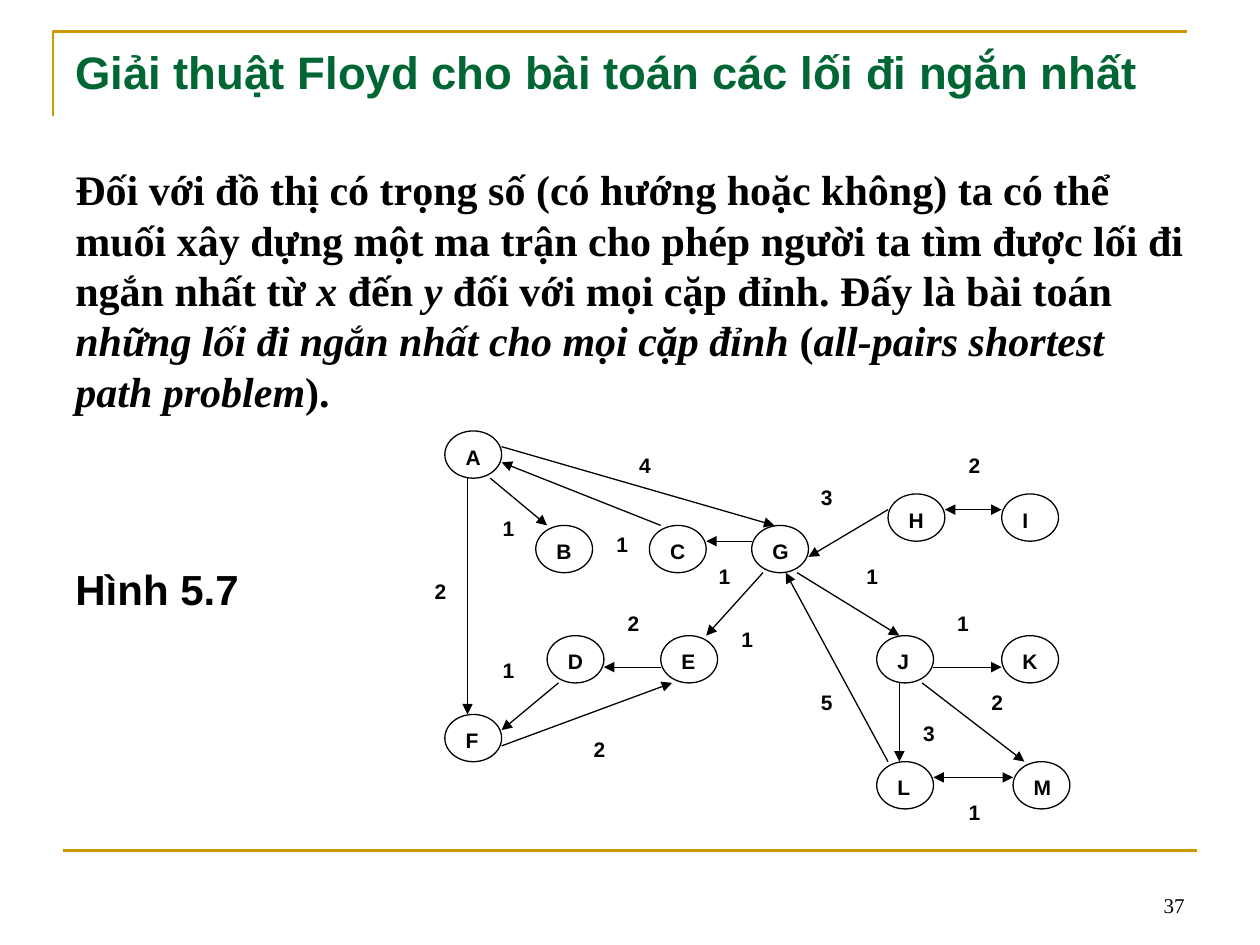
from pptx import Presentation, util as u
from pptx.dml.color import RGBColor
from pptx.enum import shapes, text
from pptx.oxml.ns import qn
from lxml import etree

prs = Presentation()
prs.slide_width, prs.slide_height = u.Inches(10), u.Inches(7.5)
s = prs.slides.add_slide(prs.slide_layouts[6])

# Graph grid: 52 columns from x = 3.35 to 8.04, rows of 1/8 inch
LEFT, TOP, COL, ROW = 3.35, 3.42, 4.69 / 52, 0.125
GOLD, BLACK, WHITE = "CC9900", "000000", "FFFFFF"


def add_text(runs, x, y, w, h, shape=None, size=12, font="Arial", color=BLACK, bold=True,
             fill=None, line=None, align="LEFT", anchor="TOP", before=0):
    """Add text, given as a string or as (string, italic) pairs; lengths in inches."""
    box = [u.Inches(v) for v in (x, y, w, h)]
    sp = s.shapes.add_shape(shape, *box) if shape else s.shapes.add_textbox(*box)
    if shape:
        sp.shadow.inherit = False
    if fill:
        sp.fill.solid()
        sp.fill.fore_color.rgb = RGBColor.from_string(fill)
    if line:
        sp.line.color.rgb = RGBColor.from_string(line)
        sp.line.width = u.Pt(0.75)
    else:
        sp.line.fill.background()
    tf = sp.text_frame
    tf.word_wrap = True
    tf.vertical_anchor = text.MSO_ANCHOR[anchor]
    p = tf.paragraphs[0]
    p.alignment = text.PP_ALIGN[align]
    p.space_before = u.Pt(before)
    for words, italic in ([(runs, False)] if isinstance(runs, str) else runs):
        r = p.add_run()
        r.text = words
        r.font.name, r.font.size = font, u.Pt(size)
        r.font.bold, r.font.italic = bold, italic
        r.font.color.rgb = RGBColor.from_string(color)


def add_line(x1, y1, x2, y2, color=BLACK, width=0.75, ends=()):
    """Add a straight line in inches, with arrowheads at the named ends."""
    ln = s.shapes.add_connector(shapes.MSO_CONNECTOR.STRAIGHT,
                                *[u.Inches(v) for v in (x1, y1, x2, y2)])
    ln.line.color.rgb = RGBColor.from_string(color)
    ln.line.width = u.Pt(width)
    for end in ends:
        etree.SubElement(ln.line._get_or_add_ln(), qn(f"a:{end}"), type="triangle")
    etree.SubElement(ln._element.spPr, qn("a:effectLst"))


# Frame: corner above the title, rule above the footer
fb = s.shapes.build_freeform(u.Inches(0.42), u.Inches(0.92))
fb.add_line_segments([(u.Inches(0.42), u.Inches(0.25)), (u.Inches(9.42), u.Inches(0.25))],
                     close=False)
corner = fb.convert_to_shape()
corner.shadow.inherit = False
corner.fill.background()
corner.line.color.rgb = RGBColor.from_string(GOLD)
corner.line.width = u.Pt(1.5)
add_line(0.5, 6.75, 9.5, 6.75, color=GOLD, width=1.5)

# Title and paragraph
add_text("Giải thuật Floyd cho bài toán các lối đi ngắn nhất", 0.5, 0.3, 9, 0.43,
         size=26, color="006633")
add_text([("Đối với đồ thị có trọng số (có hướng hoặc không) ta có thể muối xây dựng một "
           "ma trận cho phép người ta tìm được lối đi ngắn nhất từ ", False),
          ("x", True), (" đến ", False), ("y", True),
          (" đối với mọi cặp đỉnh. Đấy là bài toán ", False),
          ("những lối đi ngắn nhất cho mọi cặp đỉnh", True), (" (", False),
          ("all-pairs shortest path problem", True), (").", False)],
         0.5, 1.25, 9, 2.1, size=24, font="Times New Roman", before=15)

# Graph nodes: column, row
nodes = {"A": (2, 0), "B": (10, 6), "G": (29, 6), "C": (20, 6), "F": (2, 18),
         "D": (11, 13), "E": (21, 13), "L": (40, 21), "M": (52, 21), "K": (51, 13),
         "J": (40, 13), "I": (51, 4), "H": (41, 4)}
for name, (c, r) in nodes.items():
    add_text(name, LEFT + c * COL, TOP + r * ROW, 5 * COL, 3 * ROW,
             shape=shapes.MSO_SHAPE.OVAL, fill=WHITE, line=BLACK)

# Graph edges: start column and row, end column and row
one_way = [(4, 3, 4, 18), (6, 3, 11, 6), (21, 6, 7, 2), (7, 1, 31, 6), (12, 16, 7, 19),
           (21, 15, 16, 15), (7, 20, 22, 16), (30, 9, 25, 13), (45, 15, 51, 15),
           (42, 16, 42, 21), (44, 16, 53, 21), (29, 7, 25, 7), (41, 5, 34, 8),
           (33, 9, 42, 13), (41, 21, 32, 9)]
two_way = [(46, 5, 51, 5), (45, 22, 52, 22)]
for edges, ends in ((one_way, ["tailEnd"]), (two_way, ["headEnd", "tailEnd"])):
    for c1, r1, c2, r2 in edges:
        add_line(LEFT + c1 * COL, TOP + r1 * ROW, LEFT + c2 * COL, TOP + r2 * ROW, ends=ends)

# Edge weights: value, column, row, columns wide, rows high
weights = [(2, 47, 1, 3, 3), (3, 34, 3, 3, 3), (1, 25, 8, 3, 2), (1, 46, 11, 4, 3),
           (1, 27, 12, 4, 2), (4, 18, 1, 4, 2), (2, 0, 9, 3, 3), (5, 34, 16, 3, 3),
           (3, 43, 18, 3, 2), (2, 49, 16, 3, 2), (1, 47, 23, 3, 3), (2, 17, 11, 3, 3),
           (2, 14, 19, 4, 3), (1, 6, 14, 3, 3), (1, 38, 8, 3, 3), (1, 16, 6, 3, 3),
           (1, 6, 5, 3, 2)]
for value, c, r, w, h in weights:
    add_text(str(value), LEFT + c * COL, TOP + r * ROW, w * COL, h * ROW,
             shape=shapes.MSO_SHAPE.RECTANGLE, fill=WHITE)

# Caption and slide number
add_text("Hình 5.7", 0.5, 4.42, 2.42, 0.5, size=24, before=15)
add_text("37", 7.17, 6.83, 2.33, 0.5, font="Times New Roman", bold=False,
         align="RIGHT", anchor="BOTTOM")

prs.save("out.pptx")
